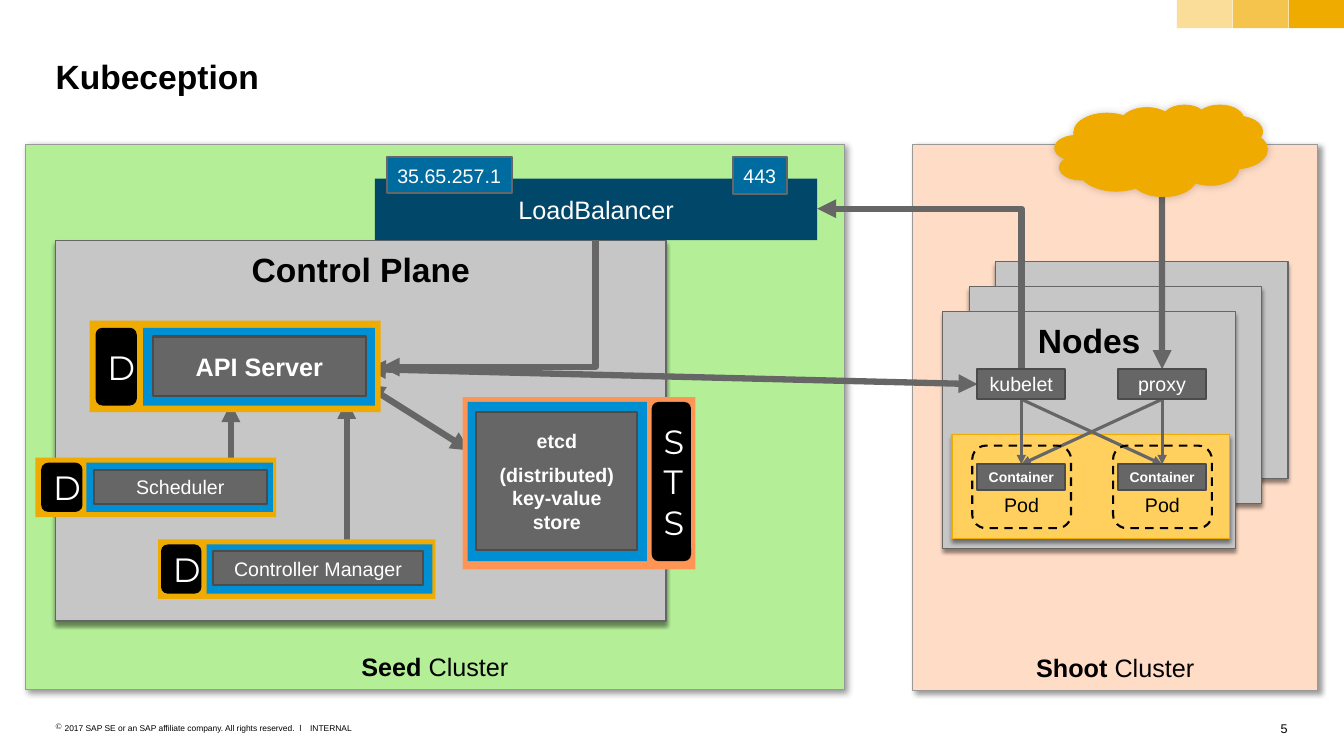
from lxml.etree import SubElement
from pptx import Presentation
from pptx.dml.color import RGBColor
from pptx.enum.dml import MSO_LINE
from pptx.enum.shapes import MSO_CONNECTOR, MSO_SHAPE
from pptx.enum.text import MSO_ANCHOR, PP_ALIGN
from pptx.oxml.ns import qn
from pptx.util import Cm, Pt

BLACK = RGBColor(0x00, 0x00, 0x00)
WHITE = RGBColor(0xFF, 0xFF, 0xFF)
GOLD = RGBColor(0xF0, 0xAB, 0x00)
YELLOW = RGBColor(0xFF, 0xD0, 0x5D)
ORANGE = RGBColor(0xFF, 0x95, 0x55)
PEACH = RGBColor(0xFF, 0xDC, 0xC6)
GREEN = RGBColor(0xB4, 0xEF, 0x98)
SILVER = RGBColor(0xC6, 0xC6, 0xC6)
MID_GREY = RGBColor(0x99, 0x99, 0x99)
GREY = RGBColor(0x66, 0x66, 0x66)
DARK_GREY = RGBColor(0x4B, 0x4B, 0x4B)
BLUE = RGBColor(0x00, 0x8F, 0xD3)
NAVY = RGBColor(0x00, 0x47, 0x6A)
STEEL = RGBColor(0x00, 0x6B, 0x9E)

CLUSTER_SHADOW = (40, 4, 3, 45)
PANEL_SHADOW = (45, 3, 2.4, 90)
CLOUD_SHADOW = (20, 6, 0, 315)

CLUSTERS = [
    ("Shoot", (23.01, 3.63, 10.21, 13.77), PEACH),
    ("Seed", (0.64, 3.63, 20.65, 13.74), GREEN),
]
PANELS = [
    ("", (25.1, 6.6, 7.37, 5.46), SILVER, GREY),
    ("", (24.43, 7.22, 7.37, 5.46), SILVER, GREY),
    ("Control Plane", (1.4, 6.07, 15.39, 9.58), SILVER, GREY),
    ("Nodes", (23.77, 7.85, 7.37, 5.97), SILVER, GREY),
    ("", (24, 10.95, 6.99, 2.62), YELLOW, GOLD),
]
WORKLOADS = [
    (["API Server"], "D", GOLD, 18, True, (2.26, 8.08, 7.34, 2.31),
     (2.41, 8.26, 1.04, 1.96), (3.61, 8.26, 5.84, 1.96), (3.86, 8.48, 5.36, 1.5)),
    (["Scheduler"], "D", GOLD, 14, False, (0.89, 11.53, 6.07, 1.5),
     (1.04, 11.66, 1.04, 1.24), (2.18, 11.66, 4.7, 1.24), (2.36, 11.84, 4.37, 0.86)),
    (["Controller Manager"], "D", GOLD, 14, False, (3.99, 13.59, 6.99, 1.5),
     (4.06, 13.72, 1.02, 1.24), (5.21, 13.72, 5.69, 1.24), (5.38, 13.89, 5.28, 0.86)),
    (["etcd", "(distributed) key-value store"], "STS", ORANGE, 14, True, (11.66, 10.01, 5.87, 4.34),
     (16.43, 10.13, 0.99, 4.01), (11.79, 10.13, 4.52, 4.01), (12.01, 10.39, 4.06, 3.48)),
]
BALANCER = [
    ("LoadBalancer", (9.45, 4.5, 11.15, 1.55), NAVY, None, 18),
    ("443", (18.47, 3.96, 1.37, 0.94), STEEL, GREY, 14),
    ("35.65.257.1", (9.75, 3.96, 3.15, 0.91), STEEL, GREY, 14),
]
NODE_AGENTS = ["kubelet", "proxy"]
AGENT_LEFT, AGENT_STEP = 24.64, 3.55
TOP, LEFT, BOTTOM = 0, 1, 2
ARROWS = [
    ((8.74, 13.82), (8.74, 10.08), 4.5, False),
    ((5.82, 11.68), (5.82, 10.16), 4.5, False),
    ((9.22, 9.7), (11.84, 11.35), 4.5, True),
    ((29.29, 4.95), ("proxy", TOP), 4.5, False),
    (("proxy", BOTTOM), ("pod 1", TOP), 2.25, False),
    (("proxy", BOTTOM), ("pod 0", TOP), 2.25, False),
    (("kubelet", BOTTOM), ("pod 0", TOP), 2.25, False),
    (("kubelet", BOTTOM), ("pod 1", TOP), 2.25, False),
    (("kubelet", LEFT), (9.25, 9.3), 4.5, True),
]
ELBOWS = [((15.01, 6.05), (9.6, 9.25)), ((25.75, 9.3), (20.6, 5.26))]
SWATCH_OPACITY = [40, 70, 100]
FOOTER = [
    ("2017 SAP SE or an SAP affiliate company. All rights reserved.  ǀ", (1.4, 18.21, 6.3, 0.25), 6, PP_ALIGN.LEFT),
    ("INTERNAL", (7.82, 18.21, 1.07, 0.25), 6, PP_ALIGN.LEFT),
    ("5", (32.08, 18.16, 0.38, 0.38), 9, PP_ALIGN.RIGHT),
]

deck = Presentation()
deck.slide_width, deck.slide_height = Cm(33.88), Cm(19.05)
slide = deck.slides.add_slide(deck.slide_layouts[5])
shapes = slide.shapes


def write(frame, paragraphs, size=14, color=WHITE, bold=False, font="Arial",
          align=PP_ALIGN.CENTER, anchor=MSO_ANCHOR.MIDDLE, inset=(0.25, 0.2), wrap=True, bullet=None):
    frame.word_wrap = wrap
    frame.vertical_anchor = anchor
    frame.margin_left = frame.margin_right = Cm(inset[0])
    frame.margin_top = frame.margin_bottom = Cm(inset[1])
    for index, content in enumerate(paragraphs):
        paragraph = frame.add_paragraph() if index else frame.paragraphs[0]
        paragraph.alignment = align
        if index:
            paragraph.space_before = Pt(size / 2)
        if bullet:
            properties = paragraph._p.get_or_add_pPr()
            properties.set("marL", str(Cm(0.23)))
            properties.set("indent", str(Cm(-0.23)))
            SubElement(properties, qn("a:buChar"), char=bullet)
        runs = [(content, bold)] if isinstance(content, str) else content
        for words, strong in runs:
            run = paragraph.add_run()
            run.text = words
            run.font.name, run.font.size, run.font.bold = font, Pt(size), strong
            run.font.color.rgb = color


def box(place, fill=None, line=None, width=1.5, kind=MSO_SHAPE.RECTANGLE, shadow=None, opacity=100):
    shape = shapes.add_shape(kind, *map(Cm, place))
    if fill is None:
        shape.fill.background()
    else:
        shape.fill.solid()
        shape.fill.fore_color.rgb = fill
    if opacity < 100:
        tint = shape.element.spPr.find(qn("a:solidFill"))[0]
        SubElement(tint, qn("a:alpha"), val=str(opacity * 1000))
    if line is None:
        shape.line.fill.background()
    else:
        shape.line.color.rgb, shape.line.width = line, Pt(width)
    shape.shadow.inherit = False
    if shadow:
        alpha, blur, distance, angle = shadow
        outer = SubElement(shape.element.spPr.find(qn("a:effectLst")), qn("a:outerShdw"),
                           blurRad=str(Pt(blur)), dist=str(Pt(distance)),
                           dir=str(angle * 60000), algn="ctr", rotWithShape="0")
        shade = SubElement(outer, qn("a:srgbClr"), val=str(BLACK))
        SubElement(shade, qn("a:alpha"), val=str(alpha * 1000))
    return shape


def arrow(kind, start, end, width, both=False):
    connector = shapes.add_connector(kind, *map(Cm, (*start, *end)))
    connector.line.color.rgb, connector.line.width = GREY, Pt(width)
    outline = connector.line._get_or_add_ln()
    if both:
        SubElement(outline, qn("a:headEnd"), type="triangle")
    SubElement(outline, qn("a:tailEnd"), type="triangle")
    SubElement(connector.element.spPr, qn("a:effectLst"))
    return connector


def elbow(start, end):
    (x1, y1), (x2, y2) = start, end
    run, rise = abs(y2 - y1), abs(x2 - x1)
    left, top = (x1 + x2 - run) / 2, (y1 + y2 - rise) / 2
    connector = arrow(MSO_CONNECTOR.ELBOW, (left, top), (left + run, top + rise), 4.5)
    geometry = connector.element.spPr
    geometry.find(qn("a:prstGeom")).set("prst", "bentConnector2")
    turn = geometry.find(qn("a:xfrm"))
    turn.set("rot", str((90 if y2 > y1 else 270) * 60000))
    if y2 < y1:
        turn.set("flipV", "1")


title = shapes.title
title.left, title.top, title.width, title.height = map(Cm, (1.4, 1.4, 31.06, 1.02))
write(title.text_frame, ["Kubeception"], size=24, color=BLACK, bold=True,
      align=PP_ALIGN.LEFT, anchor=MSO_ANCHOR.TOP, inset=(0, 0))

for index, opacity in enumerate(SWATCH_OPACITY):
    box((29.67 + 1.41 * index, 0, 1.4, 0.71), GOLD, opacity=opacity)

for words, place, size, align in FOOTER:
    note = shapes.add_textbox(*map(Cm, place))
    legal = words.startswith("2017")
    write(note.text_frame, [words], size=size, color=BLACK, align=align, anchor=MSO_ANCHOR.TOP,
          inset=(0, 0), wrap=legal, bullet="©" if legal else None)

for name, place, fill in CLUSTERS:
    cluster = box(place, fill, MID_GREY, 0.5, shadow=CLUSTER_SHADOW)
    write(cluster.text_frame, [[(name, True), (" Cluster", False)]], size=18, color=BLACK,
          anchor=MSO_ANCHOR.BOTTOM)

for heading, place, fill, line in PANELS:
    panel = box(place, fill, line, 0.79, shadow=PANEL_SHADOW)
    if heading:
        write(panel.text_frame, [heading], size=24, color=BLACK, bold=True, anchor=MSO_ANCHOR.TOP)

arrows = []
for start, end, width, both in ARROWS:
    ends = [(0, 0) if isinstance(point[0], str) else point for point in (start, end)]
    arrows.append(arrow(MSO_CONNECTOR.STRAIGHT, *ends, width, both))

targets = {}
for index in range(len(NODE_AGENTS)):
    shift = AGENT_STEP * index
    container = box((AGENT_LEFT + shift, 11.7, 2.21, 0.64), GREY, DARK_GREY)
    write(container.text_frame, ["Container"], size=10, bold=True)
    targets[f"pod {index}"] = container
    pod = box((24.51 + shift, 11.23, 2.49, 2.08), line=BLACK, kind=MSO_SHAPE.ROUNDED_RECTANGLE)
    pod.line.dash_style = MSO_LINE.DASH
    write(pod.text_frame, ["Pod"], color=BLACK, anchor=MSO_ANCHOR.BOTTOM)

for names, kind, color, size, bold, frame, tag, band, label in WORKLOADS:
    box(frame, color)
    badge = box(tag, BLACK, kind=MSO_SHAPE.ROUNDED_RECTANGLE)
    write(badge.text_frame, [kind], size=24, font="Montserrat")
    box(band, BLUE)
    write(box(label, GREY, DARK_GREY).text_frame, names, size=size, bold=bold)

for words, place, fill, line, size in BALANCER:
    write(box(place, fill, line).text_frame, [words], size=size)

for start, end in ELBOWS:
    elbow(start, end)

for index, name in enumerate(NODE_AGENTS):
    targets[name] = box((AGENT_LEFT + AGENT_STEP * index, 9.3, 2.21, 0.76), GREY, DARK_GREY)
    write(targets[name].text_frame, [name])

for connector, (start, end, _, _) in zip(arrows, ARROWS):
    for join, (target, site) in ((connector.begin_connect, start), (connector.end_connect, end)):
        if target in targets:
            join(targets[target], site)

box((26.59, 2.64, 5.36, 2.31), GOLD, GOLD, 0.5, MSO_SHAPE.CLOUD, CLOUD_SHADOW)

deck.save("out.pptx")
